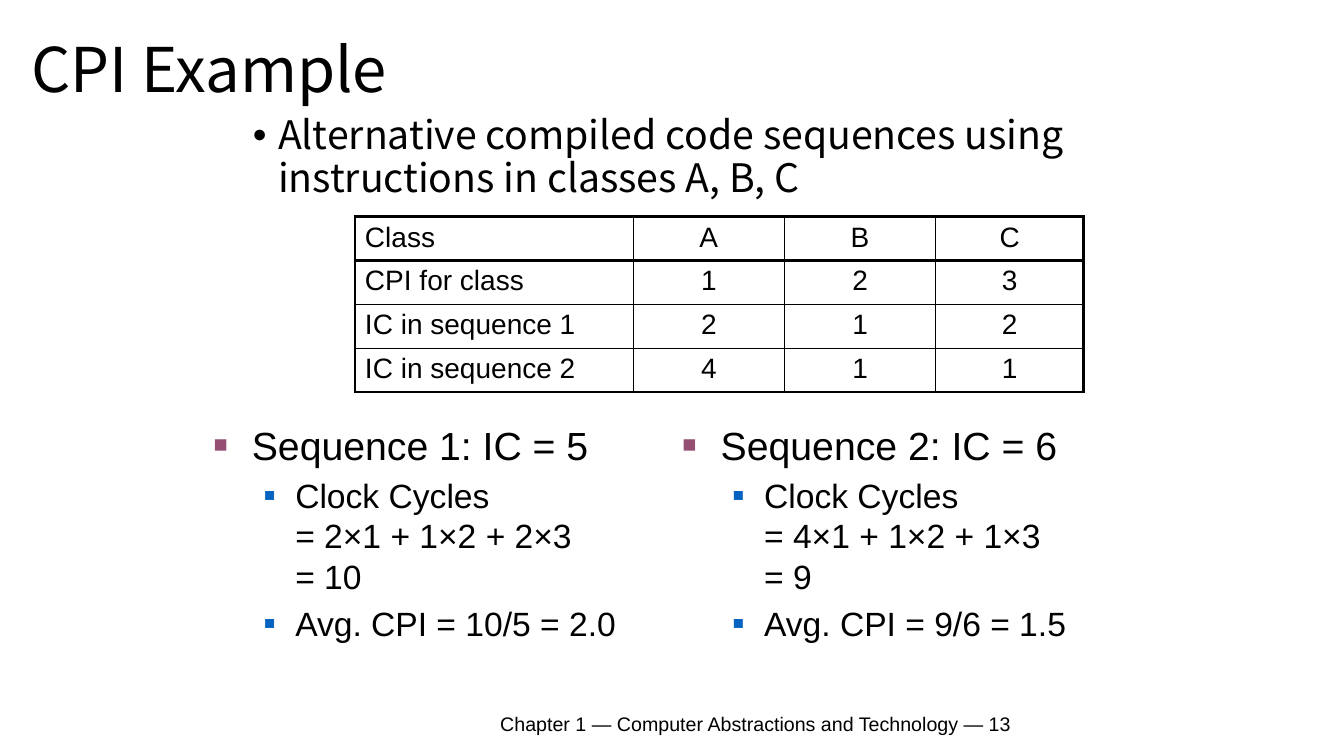
from lxml.etree import SubElement
from pptx import Presentation
from pptx.enum.text import MSO_ANCHOR as Anchor, PP_ALIGN as Align
from pptx.dml.color import RGBColor as RGB
from pptx.oxml.ns import qn
from pptx.util import Inches, Pt

COLORS = {"ink": "000000", "main": "954F72", "sub": "0563C1"}
HEAD, BODY = "Noto Sans CJK SC", "Arial"
THICK, THIN = 2.25, 1

CLASS_ROWS = [
    ["Class", "A", "B", "C"],
    ["CPI for class", "1", "2", "3"],
    ["IC in sequence 1", "2", "1", "2"],
    ["IC in sequence 2", "4", "1", "1"],
]
SEQUENCES = [
    ("Sequence 1: IC = 5", "Clock Cycles\v= 2×1 + 1×2 + 2×3\v= 10", "Avg. CPI = 10/5 = 2.0"),
    ("Sequence 2: IC = 6", "Clock Cycles\v= 4×1 + 1×2 + 1×3\v= 9", "Avg. CPI = 9/6 = 1.5"),
]


def add_bullet(p, char, left, hang, color="ink", percent=100):
    pPr = p._p.get_or_add_pPr()
    pPr.set("marL", str(Inches(left)))
    pPr.set("indent", str(-Inches(hang)))
    clr = SubElement(pPr, qn("a:buClr"))
    SubElement(clr, qn("a:srgbClr"), val=COLORS[color])
    SubElement(pPr, qn("a:buSzPct"), val=str(percent * 1000))
    SubElement(pPr, qn("a:buFont"), typeface=BODY)
    SubElement(pPr, qn("a:buChar"), char=char)


def write(p, text, size, font=BODY, **formats):
    p.text = text
    for name, value in formats.items():
        setattr(p, name, value)
    for r in p.runs:
        for name, value in {"size": Pt(size), "name": font}.items():
            setattr(r.font, name, value)
        r.font.color.rgb = RGB.from_string(COLORS["ink"])


def add_box(slide, box, anchor=Anchor.TOP):
    tf = slide.shapes.add_textbox(*map(Inches, box)).text_frame
    tf.word_wrap = True
    tf.vertical_anchor = anchor
    return tf


def add_title(slide, box):
    tf = add_box(slide, box, Anchor.MIDDLE)
    write(tf.paragraphs[0], "CPI Example", 44, HEAD, line_spacing=0.9)


def add_intro(slide, box):
    p = add_box(slide, box).paragraphs[0]
    add_bullet(p, "•", 0.25, 0.25)
    write(p, "Alternative compiled code sequences using instructions in classes A, B, C",
          28, HEAD, line_spacing=0.9)


def add_footer(slide, box):
    tf = add_box(slide, box, Anchor.MIDDLE)
    write(tf.paragraphs[0], "Chapter 1 — Computer Abstractions and Technology — 13",
          14, alignment=Align.CENTER)


def set_borders(cell, widths):
    tcPr = cell._tc.get_or_add_tcPr()
    for side, width in widths.items():
        ln = SubElement(tcPr, qn(f"a:ln{side}"), w=str(Pt(width)))
        fill = SubElement(ln, qn("a:solidFill"))
        SubElement(fill, qn("a:srgbClr"), val=COLORS["ink"])


def add_class_table(slide, box):
    n_rows, n_cols = len(CLASS_ROWS), len(CLASS_ROWS[0])
    table = slide.shapes.add_table(n_rows, n_cols, *map(Inches, box)).table
    table.first_row = table.horz_banding = False
    for column, width in zip(table.columns, (2.76, 1.5, 1.5, 1.47)):
        column.width = Inches(width)
    for i, row in enumerate(CLASS_ROWS):
        for j, text in enumerate(row):
            cell = table.cell(i, j)
            write(cell.text_frame.paragraphs[0], text, 20,
                  alignment=Align.CENTER if j else Align.LEFT)
            # Heavy outer frame and heavy rule under the header
            set_borders(cell, {
                "L": THICK if j == 0 else THIN,
                "R": THICK if j == n_cols - 1 else THIN,
                "T": THICK if i <= 1 else THIN,
                "B": THICK if i in (0, n_rows - 1) else THIN,
            })
            cell.fill.background()


def add_sequence(slide, box, sequence):
    heading, *details = sequence
    tf = add_box(slide, box)
    p = tf.paragraphs[0]
    add_bullet(p, "■", 0.38, 0.38, "main", 60)
    write(p, heading, 28)
    for detail in details:
        p = tf.add_paragraph()
        add_bullet(p, "■", 0.81, 0.31, "sub", 55)
        write(p, detail, 24, level=1, space_before=Pt(0.2 * 24))


def main():
    prs = Presentation()
    prs.slide_width, prs.slide_height = Inches(13.33), Inches(7.5)
    slide = prs.slides.add_slide(prs.slide_layouts[6])

    # Heading and introduction
    add_title(slide, (0.21, -0.01, 4.17, 1.45))
    add_intro(slide, (2.41, 1.1, 9.05, 1.09))

    # Instruction counts, then one column per sequence
    add_class_table(slide, (3.52, 2.15, 7.23, 1.74))
    for k, sequence in enumerate(SEQUENCES):
        add_sequence(slide, (2.02 + 4.65 * k, 4.13, 4.25, 2.28), sequence)

    add_footer(slide, (3.52, 6.98, 7.95, 0.39))
    prs.save("out.pptx")


if __name__ == "__main__":
    main()
